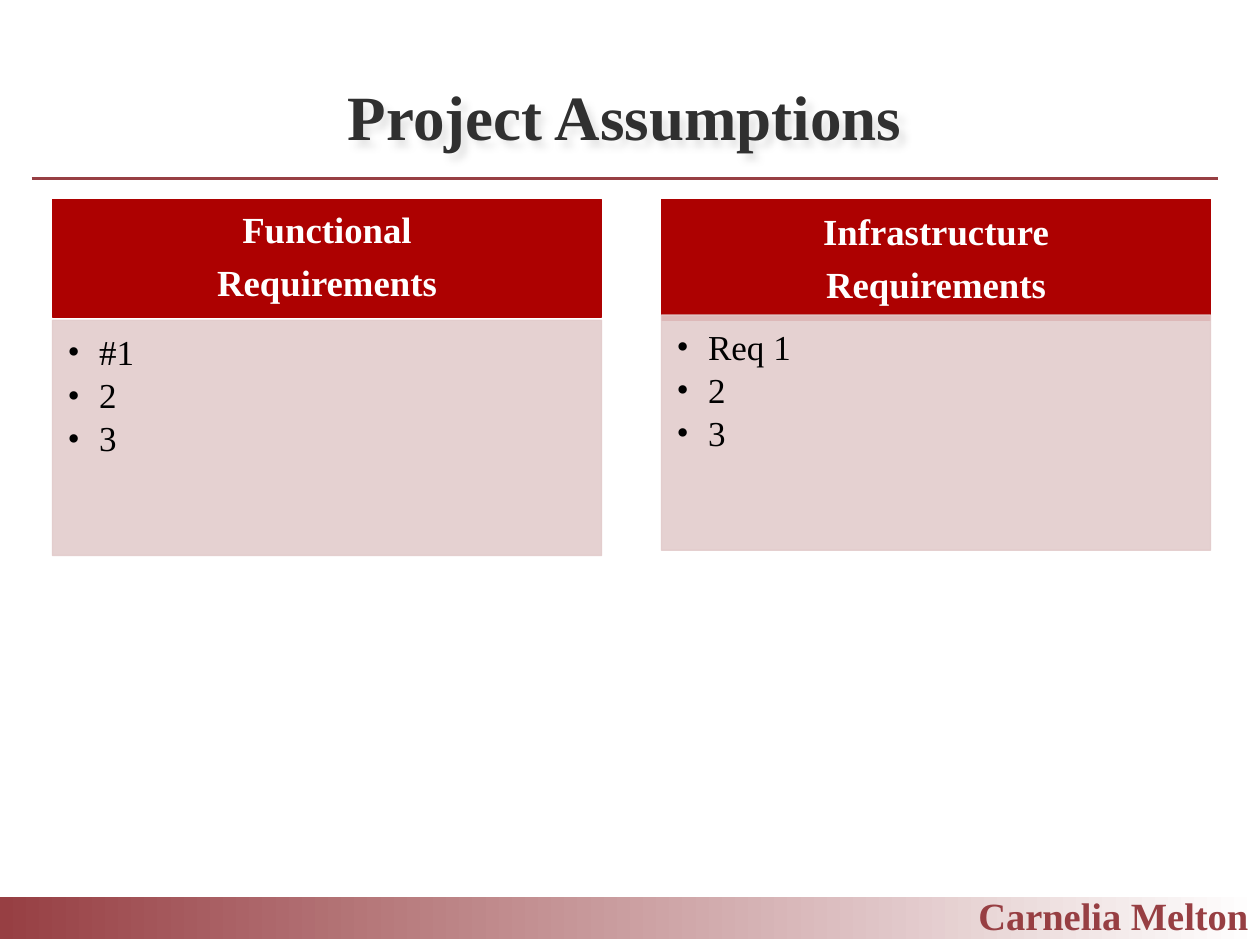
"""Build the project assumptions slide with two requirement panels."""
from lxml import etree
from pptx import Presentation
from pptx.dml.color import RGBColor
from pptx.enum.shapes import MSO_CONNECTOR, MSO_SHAPE
from pptx.enum.text import MSO_ANCHOR, PP_ALIGN
from pptx.oxml.ns import qn
from pptx.util import Inches, Pt

RECT, LINE = MSO_SHAPE.RECTANGLE, MSO_CONNECTOR.STRAIGHT
TOP, MIDDLE = MSO_ANCHOR.TOP, MSO_ANCHOR.MIDDLE
LEFT, CENTER = PP_ALIGN.LEFT, PP_ALIGN.CENTER
FACE = "Times New Roman"
WINE = RGBColor(0x97, 0x3F, 0x43)
RED = RGBColor(0xAD, 0x01, 0x01)
PINK = RGBColor(0xE3, 0xCC, 0xCC)
GRAY = RGBColor(0x30, 0x30, 0x30)
WHITE = RGBColor(0xFF, 0xFF, 0xFF)
BLACK = RGBColor(0, 0, 0)

deck = Presentation()
deck.slide_width, deck.slide_height = Inches(10), Inches(7.5)
UNIT = deck.slide_width / 120
slide = deck.slides.add_slide(deck.slide_layouts[6])
shapes = slide.shapes


def grid(*cells):
    return [round(cell * UNIT) for cell in cells]


def write(shape, lines, size, color, bold=True, align=LEFT, anchor=TOP,
          pad=(0.1, 0.05, 0.1, 0.05), lead=1.0, after=0):
    frame = shape.text_frame
    frame.text = "\n".join(lines)
    sides = ("margin_left", "margin_top", "margin_right", "margin_bottom")
    form = dict(zip(sides, map(Inches, pad)))
    form.update(word_wrap=True, vertical_anchor=anchor)
    for key, value in form.items():
        setattr(frame, key, value)
    for para in frame.paragraphs:
        para.alignment, para.line_spacing = align, lead
        para.space_after = Pt(after)
        font = para.runs[0].font
        font.name, font.size, font.bold = FACE, Pt(size), bold
        font.color.rgb = color


band = shapes.add_shape(RECT, *grid(0, 85.4, 120, 4))
band.shadow.inherit = False
band.line.fill.background()
band.fill.gradient()
band.fill.gradient_angle = 0
for stop, color in zip(band.fill.gradient_stops, (WINE, WHITE)):
    stop.color.rgb = color

brand = shapes.add_textbox(*grid(92, 84.4, 28, 5.6))
write(brand, ["Carnelia Melton"], 22, WINE, pad=(0.1, 0.05, 0, 0.05))

rule = shapes.add_connector(LINE, *grid(3, 17, 116, 17))
rule.line.color.rgb, rule.line.width = WINE, Pt(1.5)
etree.SubElement(rule._element.spPr, qn("a:effectLst"))

title = shapes.add_textbox(*grid(3, 5, 113, 12))
write(title, ["Project Assumptions"], 36, GRAY, align=CENTER, anchor=MIDDLE)
glow = etree.SubElement(title._element.spPr, qn("a:effectLst"))
shade = etree.SubElement(glow, qn("a:outerShdw"), blurRad="50800",
                         dist="50800", dir="2700000", algn="tl")
tint = etree.SubElement(shade, qn("a:srgbClr"), val="000000")
etree.SubElement(tint, qn("a:alpha"), val="10000")

PANELS = [
    (5, 11.2, 30.5, "Functional", "#1"),
    (63, 11.5, 30, "Infrastructure", "Req 1"),
]
for left, tall, top, name, first in PANELS:
    head = shapes.add_shape(RECT, *grid(left, 19, 52.3, tall))
    body = shapes.add_shape(RECT, *grid(left, top, 52.3, 22.4))
    for box, color in ((head, RED), (body, PINK)):
        box.shadow.inherit = False
        box.fill.solid()
        box.fill.fore_color.rgb = box.line.color.rgb = color
        box.line.width = Pt(0.75)
    for tint in body._element.spPr.iter(qn("a:srgbClr")):
        etree.SubElement(tint, qn("a:alpha"), val="90000")
    write(head, [name, "Requirements"], 21, WHITE, align=CENTER,
          anchor=MIDDLE, pad=(0.16, 0.09, 0.16, 0.09), lead=0.9, after=7.35)
    write(body, [first, "2", "3"], 20, BLACK, bold=False,
          pad=(0.12, 0.12, 0.16, 0.17), lead=0.9, after=3)
    for para in body.text_frame.paragraphs:
        props = para._p.get_or_add_pPr()
        props.set("marL", str(Inches(0.25)))
        props.set("indent", str(-Inches(0.25)))
        etree.SubElement(props, qn("a:buFont"), typeface=FACE)
        etree.SubElement(props, qn("a:buChar"), char="•")

deck.save("out.pptx")
